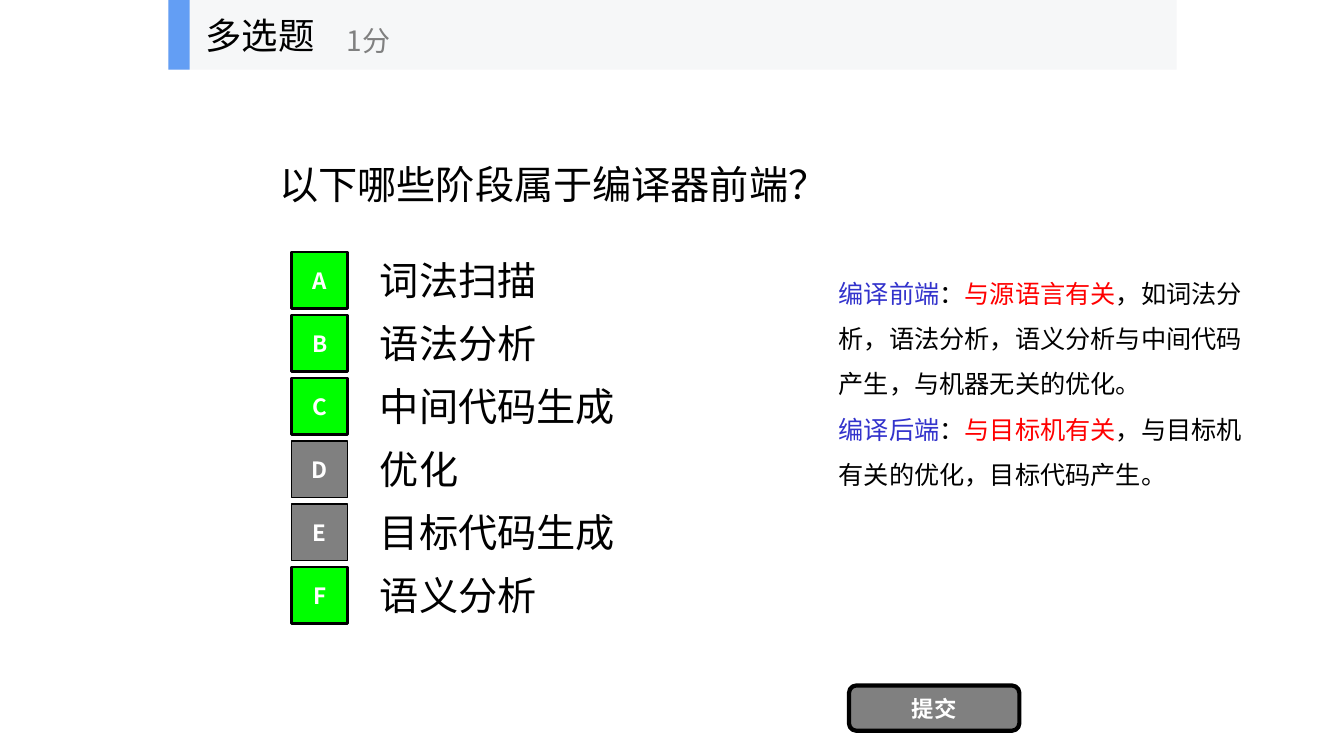
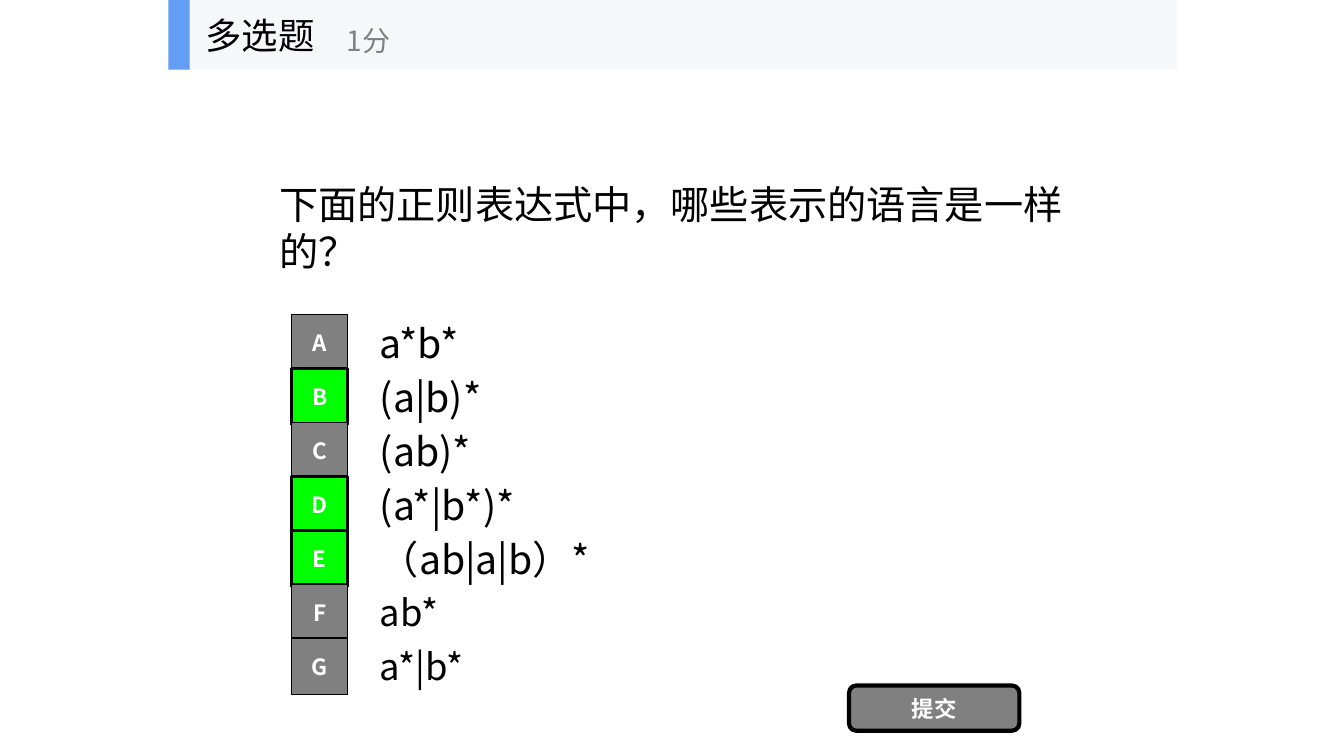
from lxml import etree
from pptx import Presentation
from pptx.dml.color import RGBColor
from pptx.enum import shapes, text
from pptx.oxml import ns
from pptx.util import Inches, Pt

FONT = "Noto Sans CJK SC"
BLACK, WHITE, GRAY = "000000", "FFFFFF", "808080"
GREEN, RED, INDIGO = "00FF00", "FF0000", "3333CC"
BAND, ACCENT = "F6F7F8", "639EF4"
RECTANGLE = shapes.MSO_SHAPE.RECTANGLE
ROUNDED = shapes.MSO_SHAPE.ROUNDED_RECTANGLE

QUESTION_STYLE = {"size": Pt(28), "bold": False}
HEADING_STYLE = {"size": Pt(26)}
POINTS_STYLE = {"size": Pt(20)}
NOTE_STYLE = {"size": Pt(18)}
BUTTON_STYLE = {"size": Pt(16), "bold": True}
MIDDLE = {"word_wrap": True, "auto_size": text.MSO_AUTO_SIZE.NONE,
          "vertical_anchor": text.MSO_ANCHOR.MIDDLE}
UNWRAPPED = {**MIDDLE, "word_wrap": False}
GROWING = {"word_wrap": True, "auto_size": text.MSO_AUTO_SIZE.SHAPE_TO_FIT_TEXT}
LEFT = {"alignment": text.PP_ALIGN.LEFT}
CENTER = {"alignment": text.PP_ALIGN.CENTER}

SLIDES = [
    {
        "question": "以下哪些阶段属于编译器前端？",
        "question_box": (2.67, 1.08, 8, 1.48),
        "options": ["词法扫描", "语法分析", "中间代码生成", "优化", "目标代码生成", "语义分析"],
        "option_sizes": [28] * 6,
        "answers": "ABCF",
        "options_box": (2.89, 2.5, 7.78, 0.56),
        "pitch": 0.625,
        "notes": [
            [("编译前端", INDIGO), ("：", BLACK), ("与源语言有关", RED),
             ("，如词法分析，语法分析，语义分析与中间代码产生，与机器无关的优化。", BLACK)],
            [("编译后端", INDIGO), ("：", BLACK), ("与目标机有关", RED),
             ("，与目标机有关的优化，目标代码产生。", BLACK)],
        ],
    },
    {
        "question": "下面的正则表达式中，哪些表示的语言是一样的？",
        "question_box": (2.67, 1.47, 8, 1.57),
        "options": ["a*b*", "(a|b)*", "(ab)*", "(a*|b*)*", "（ab|a|b）*", "ab*", "a*|b*"],
        "option_sizes": [28] * 5 + [26] * 2,
        "answers": "BDE",
        "options_box": (2.89, 3.12, 7.78, 0.56),
        "pitch": 0.535,
        "notes": [],
    },
]


def color(value):
    return RGBColor.from_string(value)


def apply(target, values):
    for name, value in values.items():
        setattr(target, name, value)


def place(shape, box):
    apply(shape, dict(zip(("left", "top", "width", "height"), map(Inches, box))))


def add_run(paragraph, content, fill, style):
    run = paragraph.add_run()
    run.text = content
    apply(run.font, {"name": FONT, **style})
    run.font.color.rgb = color(fill)
    east_asian = etree.SubElement(run.font._element, ns.qn("a:ea"))
    east_asian.set("typeface", FONT)


def write(shape, content, fill, style, frame=MIDDLE, layout=LEFT):
    apply(shape.text_frame, frame)
    paragraph = shape.text_frame.paragraphs[0]
    apply(paragraph, layout)
    add_run(paragraph, content, fill, style)


def add_label(parent, box, content, fill, style, frame=MIDDLE):
    label = parent.add_textbox(*map(Inches, box))
    write(label, content, fill, style, frame)


def add_block(parent, kind, box, fill, line_width=0):
    block = parent.add_shape(kind, *map(Inches, box))
    block.shadow.inherit = False
    block.fill.solid()
    block.fill.fore_color.rgb = color(fill)
    if line_width:
        block.line.color.rgb = color(BLACK)
        block.line.width = Pt(line_width)
    else:
        block.line.fill.background()
    return block


def add_button(slide, kind, box, caption, fill, line_width):
    button = add_block(slide.shapes, kind, box, fill, line_width)
    write(button, caption, WHITE, BUTTON_STYLE, layout=CENTER)


def add_header(slide, box):
    left, top, width, height = box
    parts = slide.shapes.add_group_shape().shapes
    add_block(parts, RECTANGLE, box, BAND)
    add_block(parts, RECTANGLE, (left, top, 0.21, height), ACCENT)
    add_label(parts, (left + 0.27, top, 2.08, height), "多选题", BLACK, HEADING_STYLE, UNWRAPPED)
    add_label(parts, (left + 1.67, top + 0.12, 2.5, 0.56), "1分", GRAY, POINTS_STYLE, UNWRAPPED)


def add_question(slide, box, content):
    title = slide.shapes.title
    place(title, box)
    write(title, content, BLACK, QUESTION_STYLE)


def add_options(slide, box, pitch, options, sizes, answers):
    left, top, width, side = box
    indent, margin = 0.78, 0.07
    for index, (option, size) in enumerate(zip(options, sizes)):
        letter = "ABCDEFG"[index]
        row = top + index * pitch
        label_box = (left + indent, row - margin, width - indent, side + 2 * margin)
        add_label(slide.shapes, label_box, option, BLACK, {"size": Pt(size)})
        fill, line_width = (GREEN, 2) if letter in answers else (GRAY, 1)
        add_button(slide, RECTANGLE, (left, row, side, side), letter, fill, line_width)


def add_notes(slide, box, notes):
    frame = slide.shapes.add_textbox(*map(Inches, box)).text_frame
    apply(frame, GROWING)
    for index, runs in enumerate(notes):
        paragraph = frame.add_paragraph() if index else frame.paragraphs[0]
        paragraph.line_spacing = 1.5
        for content, fill in runs:
            add_run(paragraph, content, fill, NOTE_STYLE)


def add_quiz_slide(presentation, quiz):
    slide = presentation.slides.add_slide(presentation.slide_layouts.get_by_name("Title Only"))
    add_question(slide, quiz["question_box"], quiz["question"])
    add_options(slide, quiz["options_box"], quiz["pitch"], quiz["options"],
                quiz["option_sizes"], quiz["answers"])
    add_button(slide, ROUNDED, (8.42, 6.8, 1.69, 0.45), "提交", GRAY, 3)
    add_header(slide, (1.67, 0, 10, 0.69))
    if quiz["notes"]:
        add_notes(slide, (8.22, 2.56, 4.44, 2.67), quiz["notes"])


def main():
    presentation = Presentation()
    apply(presentation, {"slide_width": Inches(13.33), "slide_height": Inches(7.5)})
    for quiz in SLIDES:
        add_quiz_slide(presentation, quiz)
    presentation.save("out.pptx")


if __name__ == "__main__":
    main()
